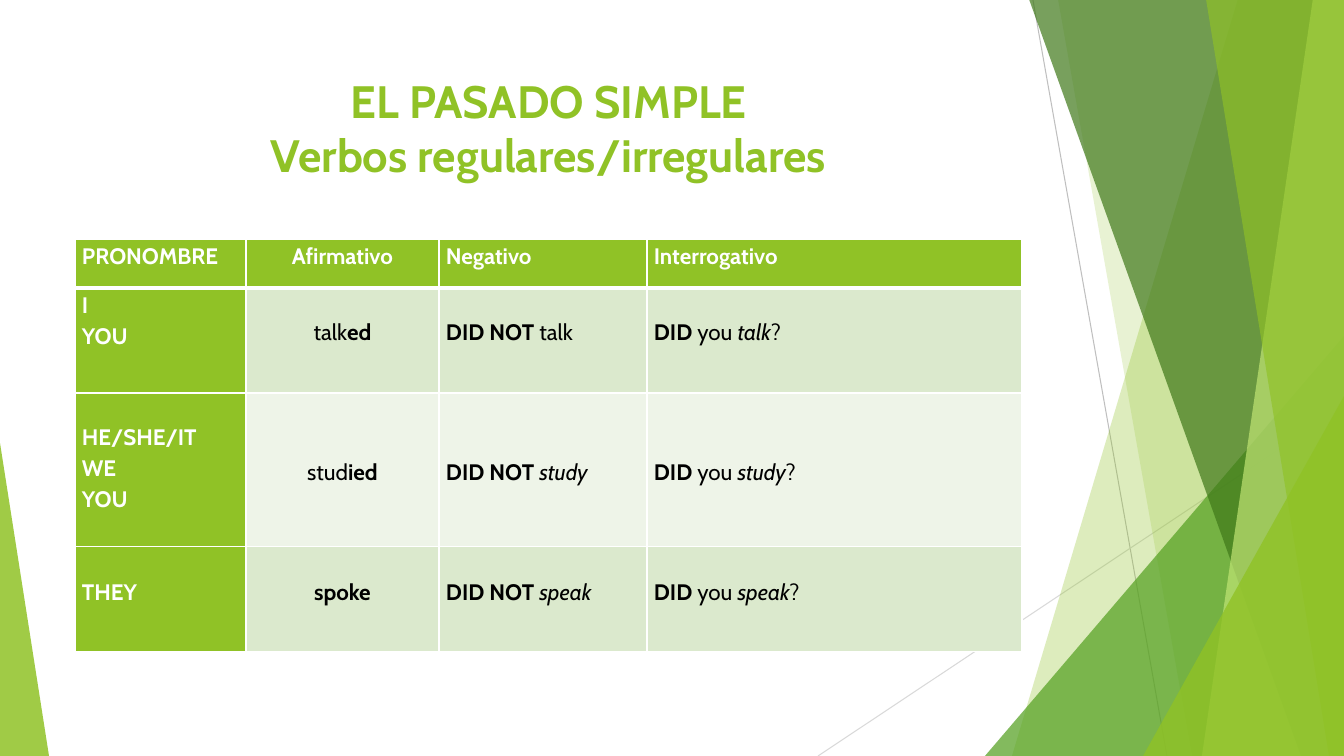
from lxml import etree
from pptx import Presentation
from pptx.dml.color import RGBColor
from pptx.enum.shapes import MSO_CONNECTOR, MSO_SHAPE
from pptx.enum.text import MSO_ANCHOR, MSO_AUTO_SIZE, PP_ALIGN
from pptx.oxml.ns import qn
from pptx.util import Emu, Pt

STRAIGHT, TRIANGLE = MSO_CONNECTOR.STRAIGHT, MSO_SHAPE.ISOSCELES_TRIANGLE
TOP, NO_FIT = MSO_ANCHOR.TOP, MSO_AUTO_SIZE.NONE
LEFT, CENTER = PP_ALIGN.LEFT, PP_ALIGN.CENTER

GREEN = RGBColor(0x90, 0xC2, 0x26)
MID_GREEN = RGBColor(0x54, 0xA0, 0x21)
DARK_GREEN = RGBColor(0x3F, 0x78, 0x19)
LIGHT_GREEN = RGBColor(0xC0, 0xE4, 0x74)
BAND_DARK = RGBColor(0xDB, 0xE9, 0xCD)
BAND_LIGHT = RGBColor(0xEE, 0xF4, 0xE8)
GRAY = RGBColor(0xBF, 0xBF, 0xBF)
PALE_GRAY = RGBColor(0xD9, 0xD9, 0xD9)
WHITE = RGBColor(0xFF, 0xFF, 0xFF)
BLACK = RGBColor(0x00, 0x00, 0x00)

WIDTH, HEIGHT = 1344, 756
EMU_PER_PX = 914400 / 100.8

PLAIN = {"bold": False, "italic": False}
BOLD = {"bold": True, "italic": False}
ITALIC = {"bold": False, "italic": True}


def px(value):
    return Emu(round(value * EMU_PER_PX))


class SlideBuilder:
    font_name = "Cabin"

    def __init__(self, presentation):
        self.slide = presentation.slides.add_slide(presentation.slide_layouts[5])
        self.shapes = self.slide.shapes

    def style_font(self, font, size, color, **formats):
        formats = {"name": self.font_name, "size": Pt(size), **formats}
        for attribute, value in formats.items():
            setattr(font, attribute, value)
        font.color.rgb = color

    def paint(self, shape, color, opacity):
        shape.shadow.inherit = False
        shape.line.fill.background()
        shape.fill.solid()
        shape.fill.fore_color.rgb = color
        color_element = shape.fill._xPr.find(qn("a:solidFill"))[0]
        etree.SubElement(color_element, qn("a:alpha"), val=str(opacity * 1000))

    def line(self, start, end, color):
        connector = self.shapes.add_connector(STRAIGHT, *map(px, start + end))
        connector.line.color.rgb = color
        connector.line.width = Pt(0.75)
        etree.SubElement(connector._element.spPr, qn("a:effectLst"))

    def polygon(self, points, color, opacity):
        builder = self.shapes.build_freeform(*points[0], scale=EMU_PER_PX)
        builder.add_line_segments(points[1:], close=True)
        self.paint(builder.convert_to_shape(), color, opacity)

    def triangle(self, box, apex, color, opacity):
        shape = self.shapes.add_shape(TRIANGLE, *map(px, box))
        shape.adjustments[0] = apex
        self.paint(shape, color, opacity)

    def title(self, box, text):
        title = self.shapes.title
        title.left, title.top, title.width, title.height = map(px, box)
        frame = title.text_frame
        frame.auto_size, frame.vertical_anchor, frame.word_wrap = NO_FIT, TOP, True
        frame.text = text
        paragraph = frame.paragraphs[0]
        paragraph.alignment = CENTER
        for run in paragraph.runs:
            self.style_font(run.font, 32.4, GREEN, bold=True)

    def table(self, left, top, columns, rows):
        box = (left, top, sum(columns), sum(rows))
        table = self.shapes.add_table(len(rows), len(columns), *map(px, box)).table
        table.horz_banding = False
        for column, width in zip(table.columns, columns):
            column.width = px(width)
        for row, height in zip(table.rows, rows):
            row.height = px(height)
        return table

    def cell(self, cell, lines, fill, color, alignment, top, borders):
        cell.margin_left = cell.margin_right = px(7)
        cell.margin_top, cell.margin_bottom = px(top), 0
        cell.vertical_anchor = TOP
        for side, width in borders.items():
            border = etree.SubElement(cell._tc.get_or_add_tcPr(), qn(f"a:ln{side}"),
                                      w=str(Pt(width)))
            solid = etree.SubElement(border, qn("a:solidFill"))
            etree.SubElement(solid, qn("a:srgbClr"), val=str(WHITE))
        cell.fill.solid()
        cell.fill.fore_color.rgb = fill
        frame = cell.text_frame
        for index, runs in enumerate(lines):
            paragraph = frame.add_paragraph() if index else frame.paragraphs[0]
            paragraph.alignment = alignment
            paragraph.line_spacing = 1.15
            for text, formats in runs:
                run = paragraph.add_run()
                run.text = text
                self.style_font(run.font, 16, color, **formats)


def question(verb):
    return [[("DID ", BOLD), ("you ", PLAIN), (verb, ITALIC), ("?", PLAIN)]]


def negative(verb, style=ITALIC):
    return [[("DID NOT ", BOLD), (verb, style)]]


def bold_lines(*texts):
    return [[(text, BOLD)] for text in texts]


HEADERS = ["PRONOMBRE", "Afirmativo", "Negativo", "Interrogativo"]
TABLE_ROWS = [
    [bold_lines(header) for header in HEADERS],
    [bold_lines("I", "YOU"), [[("talk", PLAIN), ("ed", BOLD)]],
     negative("talk", PLAIN), question("talk")],
    [bold_lines("HE/SHE/IT", "WE", "YOU"), [[("stud", PLAIN), ("ied", BOLD)]],
     negative("study"), question("study")],
    [bold_lines("THEY"), bold_lines("spoke"), negative("speak"), question("speak")],
]
# Top margins per row: pronoun cell, then the other cells
TOP_MARGINS = [(0, 0), (0, 27), (27, 62), (28, 28)]


def main():
    presentation = Presentation()
    presentation.slide_width, presentation.slide_height = px(WIDTH), px(HEIGHT)
    builder = SlideBuilder(presentation)

    # Thin lines behind the facets
    builder.line((1033, 0), (1167, HEIGHT), GRAY)
    builder.line((WIDTH, 406), (818, HEIGHT), PALE_GRAY)

    # Green facets: each reaches the right edge from a slanted left side
    def facet(top_x, bottom_x, color, opacity):
        builder.polygon([(top_x, -1), (WIDTH, -1), (WIDTH, HEIGHT), (bottom_x, HEIGHT)],
                        color, opacity)

    facet(1238, 1012, GREEN, 30)
    facet(1058, 1192, GREEN, 20)
    builder.triangle((985, 336, 359, 420), 1, MID_GREEN, 72)
    facet(1029, 1301, DARK_GREEN, 70)
    facet(1313, 1202, LIGHT_GREEN, 70)
    facet(1206, 1329, GREEN, 65)
    builder.triangle((1143, 396, 201, 360), 1, GREEN, 80)
    builder.triangle((0, 443, 49, 313), 0, GREEN, 85)

    # Title
    builder.title((75, 68, 947, 110), "EL PASADO SIMPLE\vVerbos regulares/irregulares")

    # Verb table
    table = builder.table(75, 239, [171, 193, 208, 375], [49, 105, 154, 105])
    for row, cells in enumerate(TABLE_ROWS):
        borders = {"L": 1, "R": 1, "T": 3 if row == 1 else 1, "B": 1 if row else 3}
        band = BAND_DARK if row % 2 else BAND_LIGHT
        for column, lines in enumerate(cells):
            heading = row == 0 or column == 0
            builder.cell(table.cell(row, column), lines,
                         fill=GREEN if heading else band,
                         color=WHITE if heading else BLACK,
                         alignment=CENTER if column == 1 else LEFT,
                         top=TOP_MARGINS[row][min(column, 1)], borders=borders)

    presentation.save("out.pptx")


if __name__ == "__main__":
    main()
